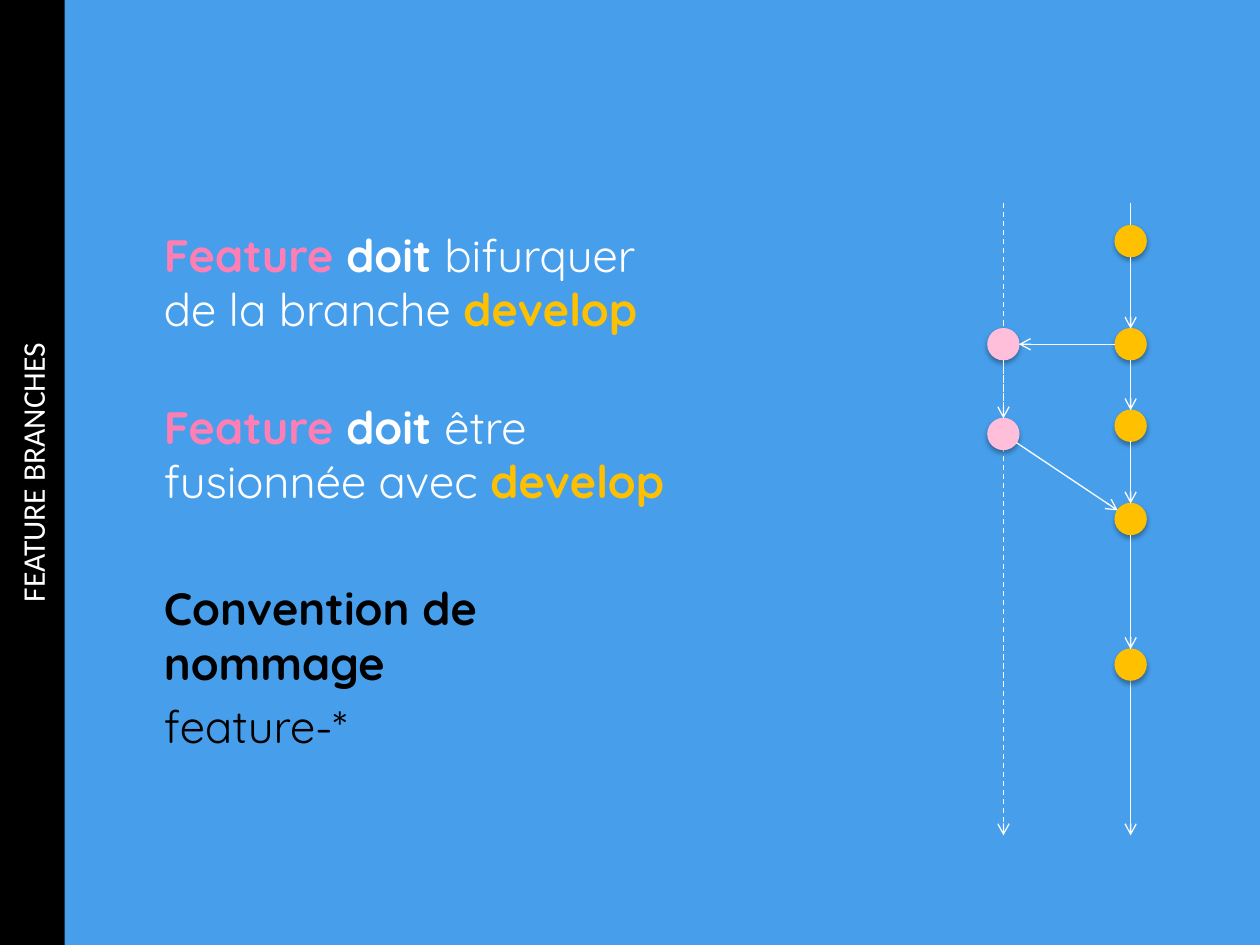
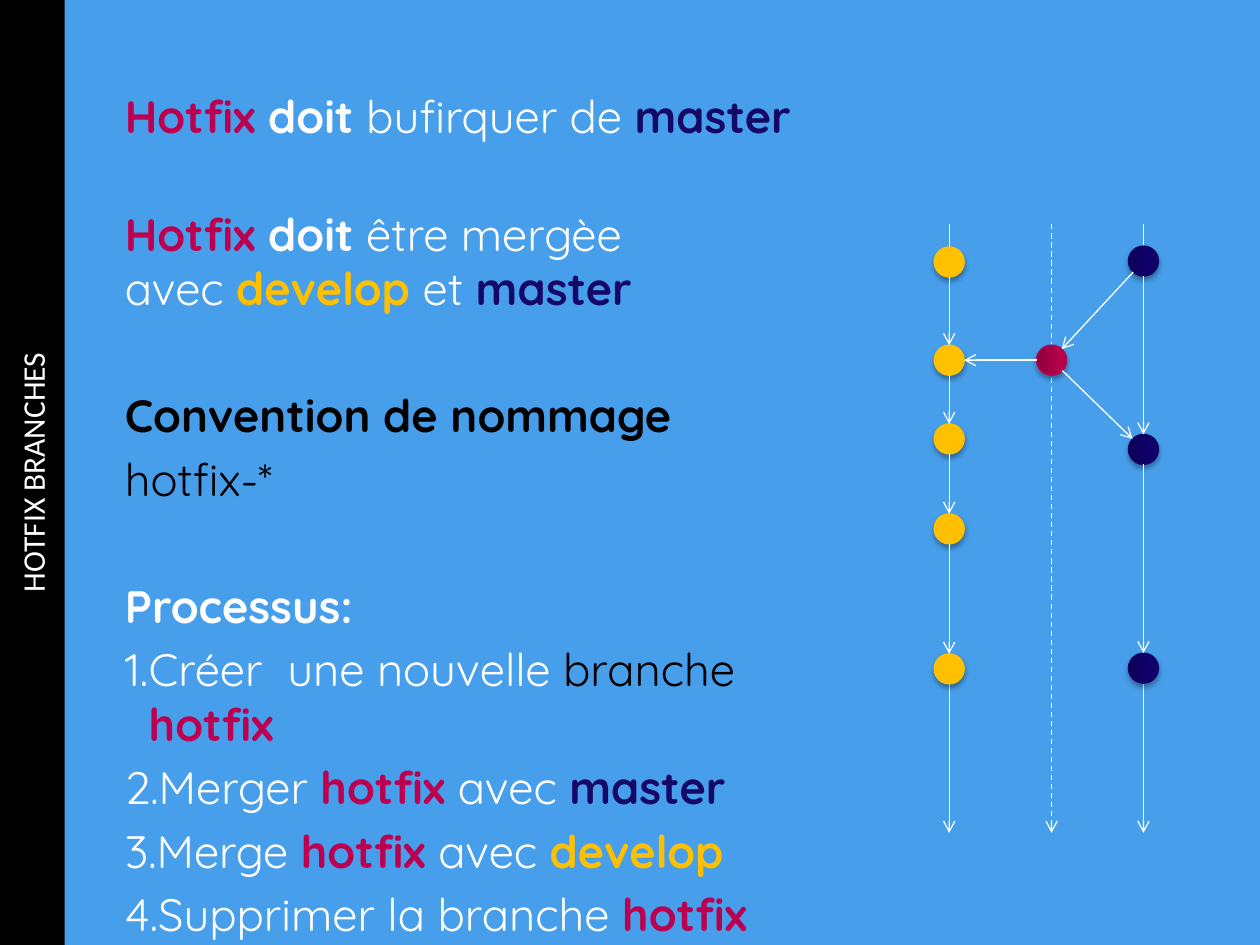
from dataclasses import dataclass
from math import hypot

from lxml import etree
from pptx import Presentation
from pptx.dml.color import RGBColor
from pptx.enum.dml import MSO_LINE
from pptx.enum.shapes import MSO_CONNECTOR, MSO_SHAPE
from pptx.enum.text import MSO_ANCHOR, MSO_AUTO_SIZE, PP_ALIGN
from pptx.oxml import parse_xml
from pptx.oxml.ns import nsdecls, qn
from pptx.util import Pt

DASH = MSO_LINE.DASH
STRAIGHT = MSO_CONNECTOR.STRAIGHT
OVAL = MSO_SHAPE.OVAL
TOP, MIDDLE = MSO_ANCHOR.TOP, MSO_ANCHOR.MIDDLE
NO_FIT = MSO_AUTO_SIZE.NONE
CENTER, LEFT = PP_ALIGN.CENTER, PP_ALIGN.LEFT


@dataclass(frozen=True)
class Theme:
    background: str = "479FEC"
    black: str = "000000"
    white: str = "FFFFFF"
    pink: str = "FF7EB4"
    pale_pink: str = "FFBFDA"
    yellow: str = "FFC000"
    crimson: str = "BC004F"
    navy: str = "150867"
    crimson_dot: tuple = ("8C003B", "B7004D", "B8004D")  # dark, light, outline
    navy_dot: tuple = ("0B0053", "0F006C", "130667")
    title_font: str = "Calibri"
    body_font: str = "Quicksand"
    title_size: float = 18
    body_size: float = 25.9
    line_width: float = 0.75


THEME = Theme()
SLIDE_W, SLIDE_H = 720, 540
BAND_W = 37
NUMBER_INDENT = 13.7
HARD_SPACE = chr(160)  # written "~" in the texts below

# Space before a paragraph
NEAR, APART, SECTION = 5.2, 36.3, 41.5

# Run styles: colour, bold
STYLES = {
    "plain": (THEME.white, False),
    "strong": (THEME.white, True),
    "dark": (THEME.black, False),
    "heading": (THEME.black, True),
    "feature": (THEME.pink, True),
    "hotfix": (THEME.crimson, True),
    "develop": (THEME.yellow, True),
    "master": (THEME.navy, True),
}

# Paragraphs: (space before, numbered, [(text, style), ...])
# Lanes: name -> (x, dashed, dot fill, commit heights)
# Merges: ((lane, commit), (lane, commit))
SLIDES = [
    {
        "title": "FEATURE BRANCHES",
        "body_box": (86.4, 126, 317, 356.4),
        "body": [
            (NEAR, False, [("Feature ", "feature"), ("doit ", "strong"),
                           ("bifurquer de la branche~", "plain"), ("develop", "develop")]),
            (APART, False, [("Feature ", "feature"), ("doit ", "strong"),
                            ("être fusionnée avec~", "plain"), ("develop", "develop")]),
            (SECTION, False, [("Convention de nommage", "heading")]),
            (NEAR, False, [("feature-*", "dark")]),
        ],
        "dot": 17.75,
        "lane_ends": (116, 477.4),
        "lanes": {
            "feature": (573.4, True, THEME.pale_pink, [196.7, 248]),
            "develop": (646.1, False, THEME.yellow, [137.8, 196.7, 243.3, 296.6, 379.8]),
        },
        "merges": [(("develop", 1), ("feature", 0)), (("feature", 1), ("develop", 3))],
    },
    {
        "title": "HOTFIX BRANCHES",
        "body_box": (64.1, 46.8, 433.4, 435.6),
        "body": [
            (NEAR, False, [("Hotfix ", "hotfix"), ("doit ", "strong"),
                           ("bufirquer de~", "plain"), ("master", "master")]),
            (APART, False, [("Hotfix ", "hotfix"), ("doit ", "strong"),
                            ("être mergèe avec~", "plain"), ("develop~", "develop"),
                            ("et~", "plain"), ("master", "master")]),
            (SECTION, False, [("Convention de nommage", "heading")]),
            (NEAR, False, [("hotfix-*", "dark")]),
            (SECTION, False, [("Processus:", "strong")]),
            (NEAR, True, [("Créer  une nouvelle ", "plain"), ("branche ", "dark"),
                          ("hotfix", "hotfix")]),
            (NEAR, True, [("Merger ", "plain"), ("hotfix ", "hotfix"),
                          ("avec ", "plain"), ("master", "master")]),
            (NEAR, True, [("Merge ", "plain"), ("hotfix ", "hotfix"),
                          ("avec ", "plain"), ("develop", "develop")]),
            (NEAR, True, [("Supprimer la branche ", "plain"), ("hotfix", "hotfix")]),
        ],
        "dot": 17.2,
        "lane_ends": (128.2, 475.9),
        "lanes": {
            "develop": (542.4, False, THEME.yellow, [149.7, 205.8, 250.8, 302.2, 382.2]),
            "hotfix": (600.9, True, THEME.crimson_dot, [205.8]),
            "master": (653.4, False, THEME.navy_dot, [149.2, 256.8, 381.8]),
        },
        "merges": [(("master", 0), ("hotfix", 0)), (("hotfix", 0), ("master", 1)),
                   (("hotfix", 0), ("develop", 1))],
    },
]


def rgb(value):
    return RGBColor.from_string(value)


def place(sp, left, top, width, height):
    sp.left, sp.top, sp.width, sp.height = Pt(left), Pt(top), Pt(width), Pt(height)


def add_run(p, text, font, size, color, bold=False):
    r = p.add_run()
    r.text = text.replace("~", HARD_SPACE)
    r.font.name, r.font.size, r.font.bold = font, Pt(size), bold
    r.font.color.rgb = rgb(color)


def add_title_band(slide, title):
    """Lay the title out along the slide height, then turn it onto the left edge."""
    sp = slide.shapes.title
    place(sp, (BAND_W - SLIDE_H) / 2, (SLIDE_H - BAND_W) / 2, SLIDE_H, BAND_W)
    sp.rotation = 270
    sp.fill.solid()
    sp.fill.fore_color.rgb = rgb(THEME.black)
    tf = sp.text_frame
    tf.auto_size, tf.vertical_anchor = NO_FIT, MIDDLE
    p = tf.paragraphs[0]
    p.alignment = CENTER
    add_run(p, title, THEME.title_font, THEME.title_size, THEME.white)


def add_body(slide, box, paragraphs):
    sp = slide.placeholders[1]
    place(sp, *box)
    tf = sp.text_frame
    tf.auto_size, tf.vertical_anchor, tf.word_wrap = NO_FIT, TOP, True
    for i, (space, numbered, runs) in enumerate(paragraphs):
        p = tf.add_paragraph() if i else tf.paragraphs[0]
        p.alignment, p.line_spacing = LEFT, 1.0
        p.space_before, p.space_after = Pt(space), Pt(0)
        indent = Pt(NUMBER_INDENT) if numbered else 0
        pPr = p._p.get_or_add_pPr()
        pPr.set("marL", str(indent))
        pPr.set("indent", str(-indent))
        if numbered:
            etree.SubElement(pPr, qn("a:buFont"), typeface="+mj-lt")
            etree.SubElement(pPr, qn("a:buAutoNum"), type="arabicPeriod")
        else:
            etree.SubElement(pPr, qn("a:buNone"))
        for text, style in runs:
            color, bold = STYLES[style]
            add_run(p, text, THEME.body_font, THEME.body_size, color, bold)


def add_arrow(slide, start, end, dashed=False):
    line = slide.shapes.add_connector(STRAIGHT, *map(Pt, (*start, *end)))
    line.line.color.rgb = rgb(THEME.white)
    line.line.width = Pt(THEME.line_width)
    if dashed:
        line.line.dash_style = DASH
    etree.SubElement(line.line._get_or_add_ln(), qn("a:tailEnd"), type="arrow")
    etree.SubElement(line._element.spPr, qn("a:effectLst"))


def add_link(slide, a, b, radius, dashed=False):
    """Arrow from the rim of the dot centred on a to the rim of the one on b."""
    dx, dy = b[0] - a[0], b[1] - a[1]
    k = radius / hypot(dx, dy)
    add_arrow(slide, (a[0] + k * dx, a[1] + k * dy),
              (b[0] - k * dx, b[1] - k * dy), dashed)


def add_commit(slide, center, size, fill):
    sp = slide.shapes.add_shape(OVAL, 0, 0, 0, 0)
    place(sp, center[0] - size / 2, center[1] - size / 2, size, size)
    if isinstance(fill, tuple):
        dark, light, outline = fill
        sp.fill.gradient()
        sp.fill.gradient_angle = 0
        first, last = sp.fill.gradient_stops
        first.color.rgb, first.position = rgb(dark), 0
        last.color.rgb, last.position = rgb(light), 0.8
    else:
        outline = fill
        sp.fill.solid()
        sp.fill.fore_color.rgb = rgb(fill)
    sp.line.color.rgb = rgb(outline)
    sp.line.width = Pt(THEME.line_width)
    sp._element.spPr.append(parse_xml(
        f'<a:effectLst {nsdecls("a")}><a:outerShdw blurRad="{Pt(3.1)}" dist="{Pt(1.8)}" '
        'dir="5400000" rotWithShape="0"><a:srgbClr val="000000"><a:alpha val="35000"/>'
        '</a:srgbClr></a:outerShdw></a:effectLst>'))


def add_branch_graph(slide, lanes, lane_ends, merges, dot):
    top, bottom = lane_ends
    commits = {name: [(x, y) for y in ys] for name, (x, _, _, ys) in lanes.items()}
    for x, dashed, _, _ in lanes.values():
        add_arrow(slide, (x, top), (x, bottom), dashed)
    for name, (_, dashed, fill, _) in lanes.items():
        centers = commits[name]
        for center in centers:
            add_commit(slide, center, dot, fill)
        for a, b in zip(centers, centers[1:]):
            add_link(slide, a, b, dot / 2, dashed)
    for (lane_a, i), (lane_b, j) in merges:
        add_link(slide, commits[lane_a][i], commits[lane_b][j], dot / 2)


def main():
    prs = Presentation()
    prs.slide_width, prs.slide_height = Pt(SLIDE_W), Pt(SLIDE_H)
    for data in SLIDES:
        slide = prs.slides.add_slide(prs.slide_layouts[1])
        slide.background.fill.solid()
        slide.background.fill.fore_color.rgb = rgb(THEME.background)
        add_title_band(slide, data["title"])
        add_body(slide, data["body_box"], data["body"])
        add_branch_graph(slide, data["lanes"], data["lane_ends"],
                         data["merges"], data["dot"])
    prs.save("out.pptx")


if __name__ == "__main__":
    main()
